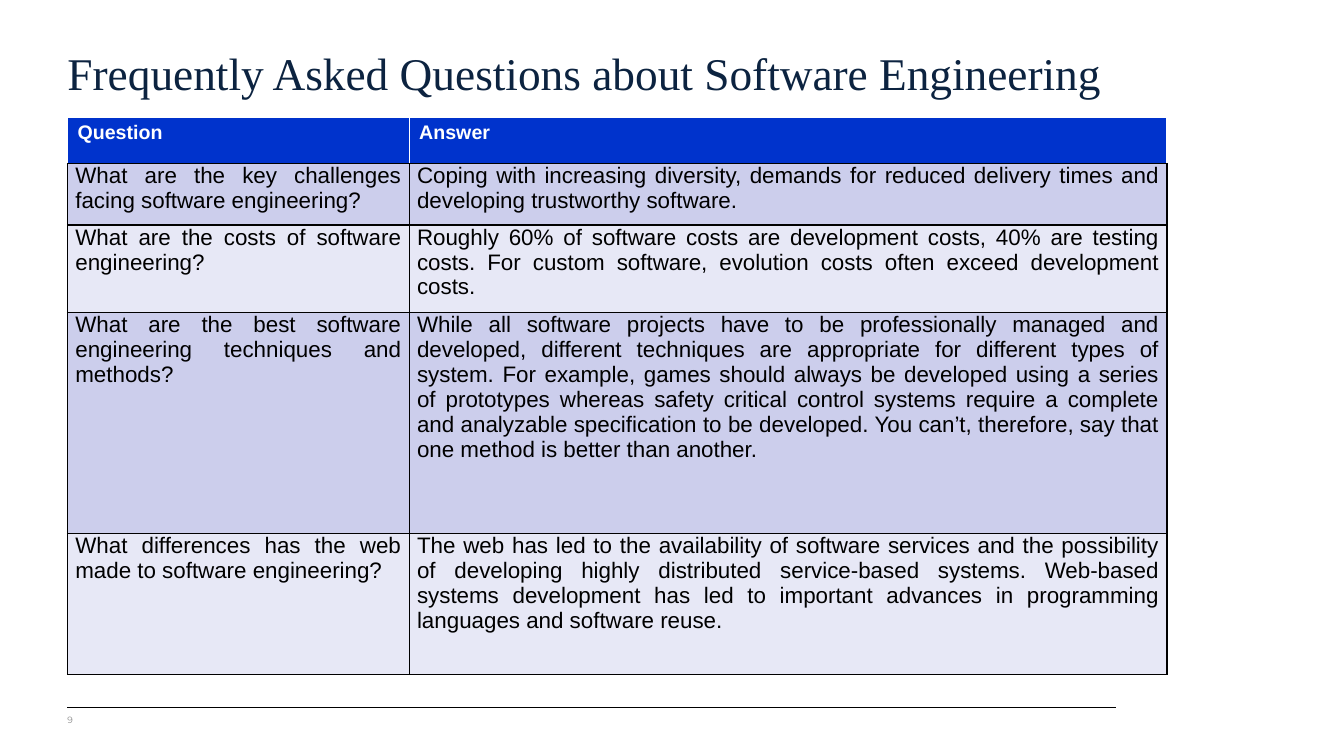
import pptx
import pptx.util
import pptx.dml.color
import pptx.enum.shapes
import pptx.enum.text
import pptx.oxml
import pptx.oxml.ns
from lxml import etree

Cm, Pt = pptx.util.Cm, pptx.util.Pt
RGB = pptx.dml.color.RGBColor
Align, Anchor = pptx.enum.text.PP_ALIGN, pptx.enum.text.MSO_ANCHOR

NAVY = RGB(0x0C, 0x23, 0x40)
BLUE = RGB(0x00, 0x33, 0xCC)
LILAC = RGB(0xCC, 0xCE, 0xEC)
PALE = RGB(0xE7, 0xE8, 0xF6)
GREY = RGB(0x8C, 0x8C, 0x8C)
BLACK = RGB(0, 0, 0)
WHITE = RGB(0xFF, 0xFF, 0xFF)

LEFT = 1.7
COLS = (8.61, 19.1)
ROWS = (1.17, 1.55, 2.21, 5.56, 3.56)
HEAD = ("Question", "Answer")
FAQ = (
    ("What are the key challenges facing software engineering?",
     "Coping with increasing diversity, demands for reduced delivery times "
     "and developing trustworthy software."),
    ("What are the costs of software engineering?",
     "Roughly 60% of software costs are development costs, 40% are testing "
     "costs. For custom software, evolution costs often exceed development "
     "costs."),
    ("What are the best software engineering techniques and methods?",
     "While all software projects have to be professionally managed and "
     "developed, different techniques are appropriate for different types of "
     "system. For example, games should always be developed using a series of "
     "prototypes whereas safety critical control systems require a complete "
     "and analyzable specification to be developed. You can’t, therefore, say "
     "that one method is better than another."),
    ("What differences has the web made to software engineering?",
     "The web has led to the availability of software services and the "
     "possibility of developing highly distributed service-based systems. "
     "Web-based systems development has led to important advances in "
     "programming languages and software reuse."),
)


class Deck:
    def __init__(self):
        self.prs = pptx.Presentation()
        self.prs.slide_width = Cm(33.87)
        self.prs.slide_height = Cm(19.05)
        self.slide = self.prs.slides.add_slide(self.prs.slide_layouts[6])

    def style(self, para, size, color, face="Arial", bold=False):
        font = para.font
        font.name, font.size, font.bold = face, Pt(size), bold
        font.color.rgb = color

    def pad(self, item, left, top, right, bottom):
        """Set the inner margins of a cell or text frame."""
        item.margin_left, item.margin_top = Cm(left), Cm(top)
        item.margin_right, item.margin_bottom = Cm(right), Cm(bottom)

    def text(self, words, box, size, color, face, anchor=Anchor.TOP):
        frame = self.slide.shapes.add_textbox(*map(Cm, box)).text_frame
        frame.word_wrap = True
        frame.vertical_anchor = anchor
        self.pad(frame, 0, 0, 0.25, 0.13)
        frame.text = words
        self.style(frame.paragraphs[0], size, color, face)

    def rule(self, left, right, y):
        line = self.slide.shapes.add_connector(
            pptx.enum.shapes.MSO_CONNECTOR.STRAIGHT,
            Cm(left), Cm(y), Cm(right), Cm(y))
        line.line.color.rgb = BLACK
        line.line.width = Pt(0.75)
        etree.SubElement(line._element.spPr, pptx.oxml.ns.qn("a:effectLst"))

    def edges(self, cell, colors):
        """Draw borders in the order left, right, top, bottom."""
        props = cell._tc.get_or_add_tcPr()
        for spot, (side, color) in enumerate(zip("LRTB", colors)):
            props.insert(spot, pptx.oxml.parse_xml(
                f'<a:ln{side} {pptx.oxml.ns.nsdecls("a")} w="{Pt(1)}">'
                f'<a:solidFill><a:srgbClr val="{color}"/></a:solidFill>'
                f'</a:ln{side}>'))

    def table(self, rows, left, top):
        grid = self.slide.shapes.add_table(
            len(rows), len(COLS), Cm(left), Cm(top),
            Cm(sum(COLS)), Cm(sum(ROWS))).table
        for col, width in zip(grid.columns, COLS):
            col.width = Cm(width)
        for r, words in enumerate(rows):
            grid.rows[r].height = Cm(ROWS[r])
            for c, word in enumerate(words):
                self.cell(grid.cell(r, c), word, r)

    def cell(self, cell, word, row):
        cell.text = word
        para = cell.text_frame.paragraphs[0]
        cell.fill.solid()
        if row == 0:
            cell.fill.fore_color.rgb = BLUE
            self.style(para, 14, WHITE, bold=True)
            self.edges(cell, (WHITE, WHITE, WHITE, BLACK))
        else:
            cell.fill.fore_color.rgb = LILAC if row % 2 else PALE
            self.pad(cell, 0.2, 0, 0.2, 0.18)
            para.alignment = Align.JUSTIFY
            self.style(para, 16, BLACK)
            self.edges(cell, (BLACK,) * 4)


def main():
    deck = Deck()
    deck.rule(LEFT, 28.12, 17.83)
    deck.text("Frequently Asked Questions about Software Engineering",
              (LEFT, 1.14, 27, 2.36), 32.4, NAVY, "Times New Roman")
    deck.table((HEAD, *FAQ), LEFT, 2.95)
    deck.text("9", (LEFT, 17.93, 1.35, 0.53), 6.5, GREY, "Montserrat",
              Anchor.MIDDLE)
    deck.prs.save("out.pptx")


if __name__ == "__main__":
    main()
